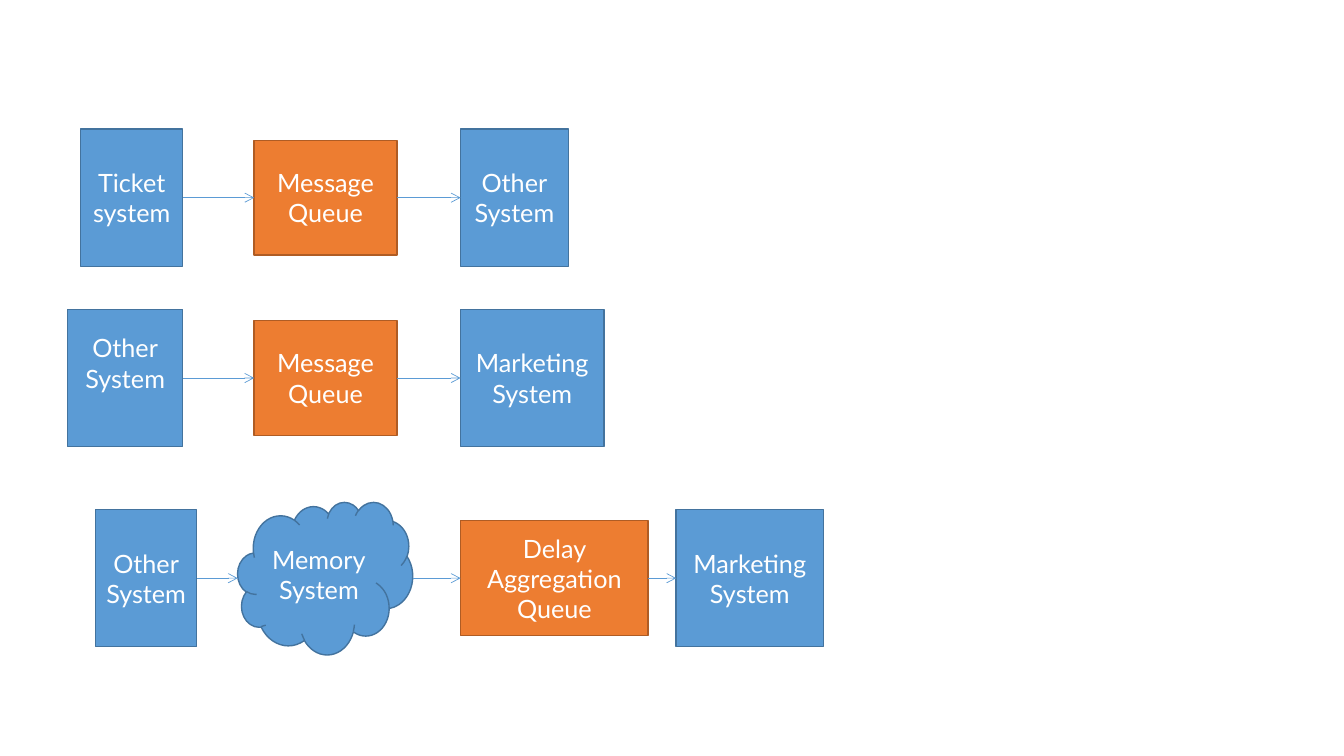
from dataclasses import dataclass

from lxml import etree
from pptx import Presentation
from pptx.dml.color import RGBColor
from pptx.enum.shapes import MSO_CONNECTOR, MSO_SHAPE
from pptx.enum.text import MSO_ANCHOR, PP_ALIGN
from pptx.oxml.ns import qn
from pptx.util import Pt

RECTANGLE = MSO_SHAPE.RECTANGLE
CLOUD = MSO_SHAPE.CLOUD
STRAIGHT = MSO_CONNECTOR.STRAIGHT
MIDDLE = MSO_ANCHOR.MIDDLE
CENTER = PP_ALIGN.CENTER
LEFT_SIDE, RIGHT_SIDE = 1, 3


@dataclass(frozen=True)
class Theme:
    font: str = "Lato"
    text_size: float = 18
    text: str = "FFFFFF"
    system_fill: str = "5B9BD5"
    system_line: str = "43739E"
    queue_fill: str = "ED7D31"
    queue_line: str = "AF5C24"
    arrow: str = "5B9BD5"
    outline_width: float = 1
    arrow_width: float = 0.5


THEME = Theme()


def add_node(page, kind, fill, line, left, center_y, width, height, text):
    """Add a filled, labelled shape centred vertically on its row."""
    node = page.shapes.add_shape(
        kind, Pt(left), Pt(center_y - height / 2), Pt(width), Pt(height))
    node.shadow.inherit = False
    node.fill.solid()
    node.fill.fore_color.rgb = RGBColor.from_string(fill)
    node.line.color.rgb = RGBColor.from_string(line)
    node.line.width = Pt(THEME.outline_width)
    frame = node.text_frame
    frame.word_wrap = True
    frame.vertical_anchor = MIDDLE
    frame.text = text
    for para in frame.paragraphs:
        para.alignment = CENTER
        for span in para.runs:
            span.font.name = THEME.font
            span.font.size = Pt(THEME.text_size)
            span.font.color.rgb = RGBColor.from_string(THEME.text)
    return node


def add_system(page, left, center_y, width, text):
    return add_node(page, RECTANGLE, THEME.system_fill, THEME.system_line,
                    left, center_y, width, 98, text)


def add_queue(page, left, center_y, width, text):
    return add_node(page, RECTANGLE, THEME.queue_fill, THEME.queue_line,
                    left, center_y, width, 82, text)


def add_cloud(page, left, center_y, width, text):
    return add_node(page, CLOUD, THEME.system_fill, THEME.system_line,
                    left, center_y, width, 109, text)


def add_arrow(page, source, target):
    """Run an arrow from the right of source to the left of target."""
    arrow = page.shapes.add_connector(
        STRAIGHT,
        source.left + source.width, source.top + source.height // 2,
        target.left, target.top + target.height // 2)
    if source.auto_shape_type == RECTANGLE:
        arrow.begin_connect(source, RIGHT_SIDE)
    if target.auto_shape_type == RECTANGLE:
        arrow.end_connect(target, LEFT_SIDE)
    arrow.line.color.rgb = RGBColor.from_string(THEME.arrow)
    arrow.line.width = Pt(THEME.arrow_width)
    properties = arrow.line._get_or_add_ln()
    etree.SubElement(properties, qn("a:tailEnd"), type="arrow")
    etree.SubElement(arrow._element.spPr, qn("a:effectLst"))


def add_flow(page, center_y, steps):
    """Add one row of nodes, each joined to the next by an arrow."""
    nodes = [add_step(page, left, center_y, width, text)
             for add_step, left, width, text in steps]
    for source, target in zip(nodes, nodes[1:]):
        add_arrow(page, source, target)
    return nodes


def main():
    deck = Presentation()
    deck.slide_width, deck.slide_height = Pt(960), Pt(540)
    page = deck.slides.add_slide(deck.slide_layouts[6])

    message_queue = (add_queue, 181.6, 102, "Message\vQueue")
    add_flow(page, 141.2, [
        (add_system, 57.6, 73, "Ticket\nsystem"),
        message_queue,
        (add_system, 329, 77, "Other\nSystem"),
    ])
    raised_system, *_ = add_flow(page, 270, [
        (add_system, 48.2, 82.4, "Other\nSystem"),
        message_queue,
        (add_system, 329, 102.4, "Marketing System"),
    ])
    raised_system.text_frame.margin_bottom = Pt(25.2)
    add_flow(page, 413, [
        (add_system, 68.2, 72.4, "Other\nSystem"),
        (add_cloud, 169.8, 125, "Memory\nSystem"),
        (add_queue, 329, 134, "Delay Aggregation\nQueue"),
        (add_system, 483, 105.2, "Marketing System"),
    ])
    deck.save("out.pptx")


if __name__ == "__main__":
    main()
